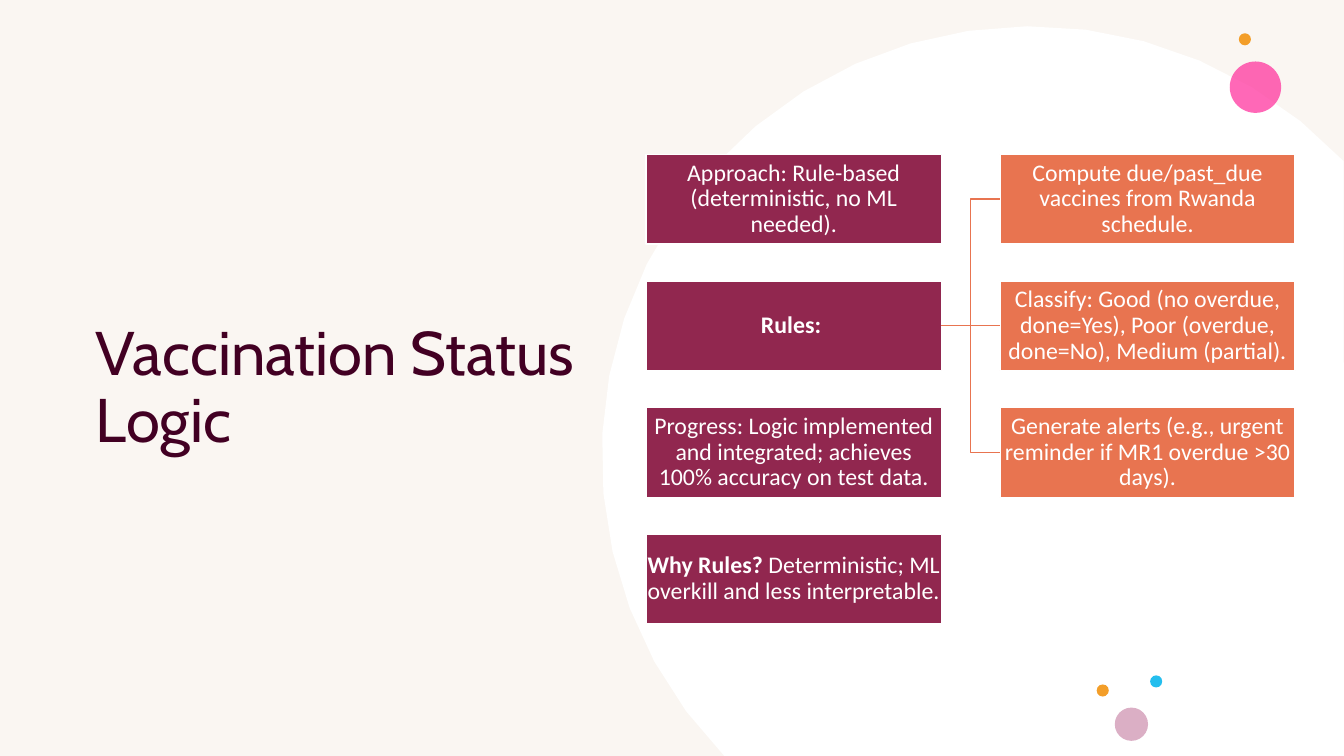
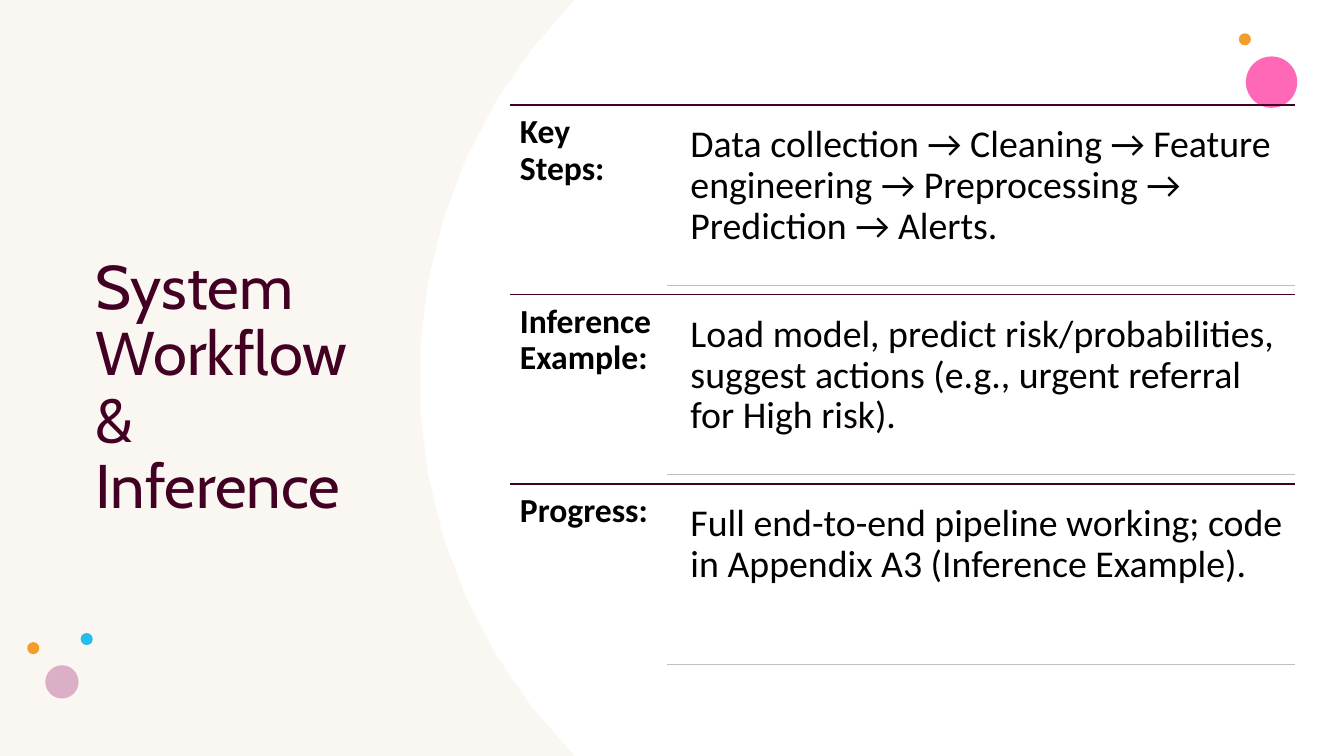
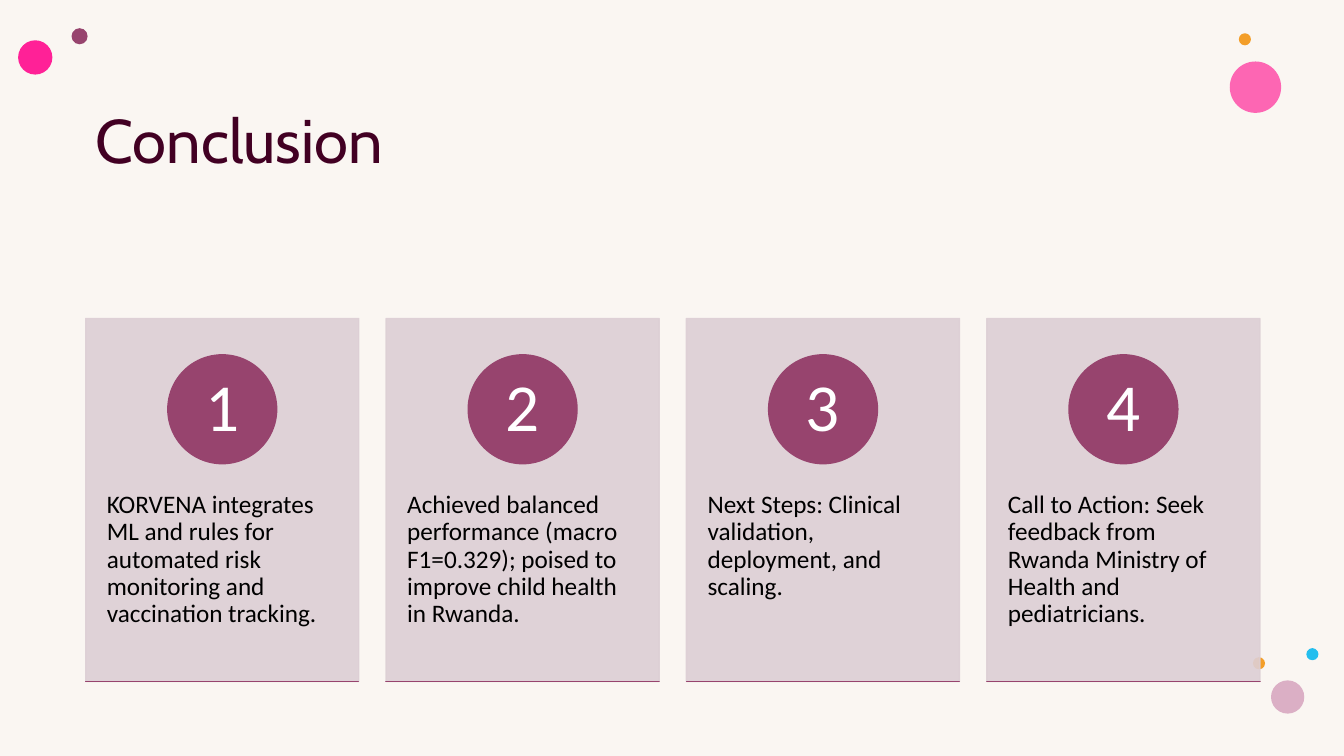
import math

import lxml.etree
import pptx
import pptx.dml.color
import pptx.enum.shapes
import pptx.enum.text
import pptx.oxml.ns
import pptx.util

WIDTH, HEIGHT = 40 / 3, 7.5
CREAM, WHITE, BLACK = "FAF6F2", "FFFFFF", "000000"
PLUM, WINE, CORAL, BERRY = "420023", "91274F", "E87450", "97446E"
LILAC, GREY, PINK, MAGENTA = "DDCFD5", "C0BDBD", "FF2F9C", "FF2197"
ORANGE, BLUE, MAUVE, ROSE = "F39E29", "24BEEE", "DBAFC5", "E3BEBE"

SHAPE = pptx.enum.shapes.MSO_SHAPE
LINK = pptx.enum.shapes.MSO_CONNECTOR
ANCHOR = pptx.enum.text.MSO_ANCHOR
ALIGN = pptx.enum.text.PP_ALIGN
inches = pptx.util.Inches


def color(code):
    return pptx.dml.color.RGBColor.from_string(code)


def spread(first, last, count):
    return [first + (last - first) * index / (count - 1) for index in range(count)]


def paint(shape, fill, line=None, opacity=100):
    shape.shadow.inherit = False
    shape.fill.solid()
    shape.fill.fore_color.rgb = color(fill)
    if line:
        shape.line.color.rgb = color(line)
        shape.line.width = pptx.util.Pt(1)
    else:
        shape.line.fill.background()
    if opacity < 100:
        for tint in shape.element.spPr.iter(pptx.oxml.ns.qn("a:srgbClr")):
            alpha = lxml.etree.SubElement(tint, pptx.oxml.ns.qn("a:alpha"))
            alpha.set("val", str(opacity * 1000))


def write(shape, text, size, tint, font="Calibri", lead="", bold=False,
          align=ALIGN.LEFT, anchor=ANCHOR.TOP, margins=(0.1, 0.05, 0.1, 0.05)):
    frame = shape.text_frame
    frame.word_wrap = True
    frame.auto_size = pptx.enum.text.MSO_AUTO_SIZE.NONE
    frame.vertical_anchor = anchor
    (frame.margin_left, frame.margin_top,
     frame.margin_right, frame.margin_bottom) = map(inches, margins)
    para = frame.paragraphs[0]
    para.alignment = align
    para.line_spacing = 0.9
    para.font.name = font
    para.font.size = pptx.util.Pt(size)
    para.font.color.rgb = color(tint)
    para.font.bold = bold
    if lead:
        span = para.add_run()
        span.text = lead
        span.font.bold = True
    if text:
        para.add_run().text = text


def add_block(page, kind, left, top, width, height, fill, line=None, opacity=100):
    block = page.shapes.add_shape(kind, *map(inches, (left, top, width, height)))
    paint(block, fill, line, opacity)
    return block


def add_label(page, left, top, width, height, text, size, bold, margin):
    box = page.shapes.add_textbox(*map(inches, (left, top, width, height)))
    write(box, text, size, BLACK, bold=bold, margins=(margin,) * 4)


def add_line(page, tint, start=(0, 0), end=(0, 0), kind=LINK.STRAIGHT):
    line = page.shapes.add_connector(kind, *map(inches, (*start, *end)))
    line.line.color.rgb = color(tint)
    line.line.width = pptx.util.Pt(1)
    lxml.etree.SubElement(line.element.spPr, pptx.oxml.ns.qn("a:effectLst"))
    return line


def add_dot(page, left, top, size, fill, opacity=100):
    add_block(page, SHAPE.OVAL, left, top, size, size, fill, opacity=opacity)


def add_disc(page, center, radius, angles, corners):
    arc = [(center[0] + radius * math.cos(math.radians(angle)),
            center[1] + radius * math.sin(math.radians(angle))) for angle in angles]
    points = [(inches(min(x, WIDTH)), inches(min(max(y, 0), HEIGHT)))
              for x, y in arc + corners]
    builder = page.shapes.build_freeform(*points[0])
    builder.add_line_segments(points[1:])
    paint(builder.convert_to_shape(), WHITE)


def add_page(deck, title, title_size, pink_at, cluster_at, disc=None, anchor=ANCHOR.MIDDLE):
    page = deck.slides.add_slide(deck.slide_layouts[5])
    holder = page.shapes.title
    holder.left, holder.top = inches(0.85), inches(1.04)
    holder.width, holder.height = map(inches, title_size)
    write(holder, title, 44, PLUM, font="Cabin", anchor=anchor)
    if disc:
        add_disc(page, *disc)
    left, top = cluster_at
    add_dot(page, *pink_at, 0.51, PINK, 72)
    add_dot(page, 12.29, 0.33, 0.12, ORANGE)
    add_dot(page, left + 0.53, top - 0.09, 0.12, BLUE)
    add_dot(page, left + 0.18, top + 0.23, 0.33, MAUVE)
    add_dot(page, left, top, 0.12, ORANGE)
    return page


def add_logic(deck):
    disc = ((10.23, 4.52), 4.26, spread(-43.3, -224.4, 24), [(WIDTH, HEIGHT)])
    page = add_page(deck, "Vaccination Status Logic", (5.04, 5.64),
                    (12.2, 0.61), (10.88, 6.79), disc)
    rows = spread(1.53, 5.3, 4)
    columns = [
        (6.41, WINE, [
            ("", "Approach: Rule-based (deterministic, no ML needed)."),
            ("Rules: ", ""),
            ("", "Progress: Logic implemented and integrated; achieves 100% accuracy on test data."),
            ("Why Rules?", " Deterministic; ML overkill and less interpretable."),
        ]),
        (9.92, CORAL, [
            ("", "Compute due/past_due vaccines from Rwanda schedule."),
            ("", "Classify: Good (no overdue, done=Yes), Poor (overdue, done=No), Medium (partial)."),
            ("", "Generate alerts (e.g., urgent reminder if MR1 overdue >30 days)."),
        ]),
    ]
    nodes = []
    for left, fill, entries in columns:
        column = []
        for top, (lead, text) in zip(rows, entries):
            node = add_block(page, SHAPE.RECTANGLE, left, top, 2.93, 0.89, fill, WHITE)
            write(node, text, 17, WHITE, lead=lead, align=ALIGN.CENTER,
                  anchor=ANCHOR.MIDDLE, margins=(0.01,) * 4)
            column.append(node)
        nodes.append(column)
    rules = nodes[0][1]
    for step in nodes[1]:
        kind = LINK.STRAIGHT if step.top == rules.top else LINK.ELBOW
        link = add_line(page, CORAL, kind=kind)
        link.begin_connect(rules, 3)
        link.end_connect(step, 1)


def add_workflow(deck):
    disc = ((9.49, 3.75), 5.33, spread(-135.3, -224.7, 14), [(WIDTH, HEIGHT), (WIDTH, 0)])
    page = add_page(deck, "System Workflow & Inference", (3.13, 5.64),
                    (12.36, 0.56), (0.27, 6.37), disc)
    add_dot(page, 8.49, 4.16, 0.1, ROSE, 28)
    entries = [
        ("Key Steps:", "Data collection → Cleaning → Feature engineering → "
                       "Preprocessing → Prediction → Alerts."),
        ("Inference Example:", "Load model, predict risk/probabilities, suggest actions "
                               "(e.g., urgent referral for High risk)."),
        ("Progress:", "Full end-to-end pipeline working; code in Appendix A3 "
                      "(Inference Example)."),
    ]
    left, middle, right = 5.06, 6.62, 12.85
    for top, (heading, text) in zip(spread(1.04, 4.8, 3), entries):
        add_line(page, PLUM, (left, top), (right, top))
        add_label(page, left, top, middle - left, 1.88, heading, 24, True, 0.1)
        add_label(page, 6.74, top + 0.09, 6.11, 1.71, text, 27, False, 0.11)
        add_line(page, GREY, (middle, top + 1.79), (right, top + 1.79))


def add_conclusion(deck):
    page = add_page(deck, "Conclusion", (11.78, 1.97),
                    (12.2, 0.61), (12.43, 6.52), anchor=ANCHOR.TOP)
    add_dot(page, 0.71, 0.28, 0.16, BERRY)
    add_dot(page, 0.18, 0.4, 0.34, MAGENTA)
    entries = [
        "KORVENA integrates ML and rules for automated risk monitoring and vaccination tracking.",
        "Achieved balanced performance (macro F1=0.329); poised to improve child health in Rwanda.",
        "Next Steps: Clinical validation, deployment, and scaling.",
        "Call to Action: Seek feedback from Rwanda Ministry of Health and pediatricians.",
    ]
    top, width, height, badge_size = 3.16, 2.71, 3.6, 1.08
    for number, (left, text) in enumerate(zip(spread(0.85, 9.79, 4), entries), 1):
        add_block(page, SHAPE.RECTANGLE, left, top, width, height, LILAC, LILAC, 90)
        box = page.shapes.add_textbox(*map(inches, (left, top + 1.36, width, 2.16)))
        write(box, text, 18, BLACK, margins=(0.21, 0.36, 0.21, 0.36))
        badge = add_block(page, SHAPE.OVAL, left + (width - badge_size) / 2, top + 0.36,
                          badge_size, badge_size, BERRY, BERRY)
        write(badge, str(number), 48, WHITE, align=ALIGN.CENTER, anchor=ANCHOR.MIDDLE,
              margins=(0.08, 0.01, 0.08, 0.01))
        add_block(page, SHAPE.RECTANGLE, left, top + height, width, 0, BERRY, BERRY)


def main():
    deck = pptx.Presentation()
    deck.slide_width, deck.slide_height = inches(WIDTH), inches(HEIGHT)
    backdrop = deck.slide_master.background.fill
    backdrop.solid()
    backdrop.fore_color.rgb = color(CREAM)
    add_logic(deck)
    add_workflow(deck)
    add_conclusion(deck)
    deck.save("out.pptx")


if __name__ == "__main__":
    main()
